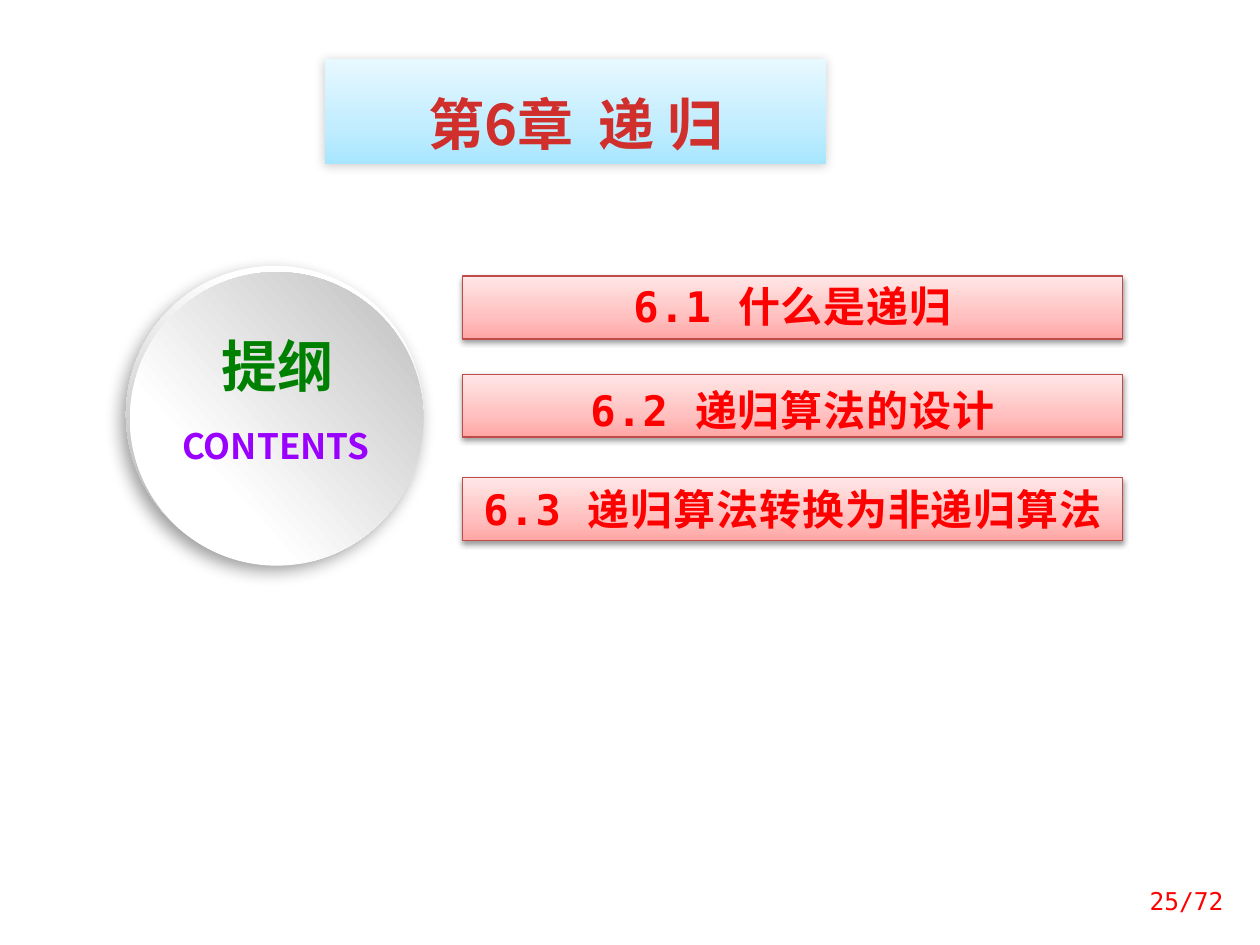
from dataclasses import dataclass

from lxml.etree import SubElement
from pptx import Presentation
from pptx.dml.color import RGBColor
from pptx.enum.shapes import MSO_SHAPE
from pptx.enum.text import MSO_ANCHOR, MSO_AUTO_SIZE, PP_ALIGN
from pptx.oxml.ns import qn
from pptx.util import Inches, Pt


@dataclass(frozen=True)
class Gradient:
    stops: tuple[tuple[int, str], ...]
    angle: int  # clockwise degrees


@dataclass(frozen=True)
class Shadow:
    alpha: int
    blur: float
    distance: float
    direction: int


@dataclass(frozen=True)
class TextStyle:
    font: str
    size: int
    color: str
    bold: bool = True
    east_asian: str = "Noto Sans CJK SC"
    spacing: float = 0


@dataclass(frozen=True)
class Theme:
    title = TextStyle("Noto Sans CJK JP", 32, "D02F2C", east_asian="Noto Sans CJK JP")
    section = TextStyle("DejaVu Sans Mono", 24, "FF0000", spacing=0.5)
    outline = TextStyle("Noto Sans CJK SC", 32, "008000")
    contents = TextStyle("Noto Sans CJK SC", 20, "9900FF")
    page = TextStyle("DejaVu Sans Mono", 14, "FF0000", bold=False)
    sky = Gradient(((0, "A7E6FF"), (35, "C1EDFF"), (100, "E7F8FF")), 270)
    rose = Gradient(((0, "FFA6A5"), (35, "FFC0BF"), (100, "FFE7E7")), 270)
    rim = Gradient(((17, "FFFFFF"), (88, "B8B8B8")), 107)
    face = Gradient(((29, "FFFFFF"), (98, "BFBFBF")), 318)
    bar_line = "BF4C48"
    title_shadow = Shadow(20, 6, 1, 135)
    bar_shadow = Shadow(38, 3.1, 1.6, 90)
    rim_shadow = Shadow(39, 10, 5, 123)


@dataclass(frozen=True)
class Section:
    text: str
    top: float
    inset_top: float
    inset_bottom: float


THEME = Theme()
SECTIONS = (
    Section("6.1 什么是递归", 2.19, 0.04, 0.08),
    Section("6.2 递归算法的设计", 2.97, 0.08, 0.08),
    Section("6.3 递归算法转换为非递归算法", 3.79, 0.05, 0.05),
)


def set_gradient(shape, gradient: Gradient) -> None:
    shape.fill.background()
    properties = shape.element.spPr
    blank = properties.find(qn("a:noFill"))
    fill = SubElement(properties, qn("a:gradFill"), rotWithShape="1")
    stop_list = SubElement(fill, qn("a:gsLst"))
    for position, color in gradient.stops:
        stop = SubElement(stop_list, qn("a:gs"), pos=str(position * 1000))
        SubElement(stop, qn("a:srgbClr"), val=color)
    SubElement(fill, qn("a:lin"), ang=str(gradient.angle * 60000), scaled="0")
    properties.replace(blank, fill)


def set_shadow(shape, shadow: Shadow | None) -> None:
    shape.shadow.inherit = False
    if shadow is None:
        return
    effects = shape.element.spPr.find(qn("a:effectLst"))
    outer = SubElement(
        effects, qn("a:outerShdw"),
        blurRad=str(Pt(shadow.blur)), dist=str(Pt(shadow.distance)),
        dir=str(shadow.direction * 60000), algn="ctr", rotWithShape="0",
    )
    color = SubElement(outer, qn("a:srgbClr"), val="000000")
    SubElement(color, qn("a:alpha"), val=str(shadow.alpha * 1000))


def write_text(shape, text: str, style: TextStyle, align=PP_ALIGN.CENTER, **frame_format) -> None:
    frame = shape.text_frame
    defaults = {
        "auto_size": MSO_AUTO_SIZE.NONE,
        "word_wrap": True,
        "vertical_anchor": MSO_ANCHOR.TOP,
        "margin_left": Inches(0.1),
        "margin_right": Inches(0.1),
        "margin_top": Inches(0.05),
        "margin_bottom": Inches(0.05),
    }
    for attribute, value in (defaults | frame_format).items():
        setattr(frame, attribute, value)
    paragraph = frame.paragraphs[0]
    paragraph.alignment = align
    run = paragraph.add_run()
    run.text = text
    font_format = {"name": style.font, "size": Pt(style.size), "bold": style.bold}
    for attribute, value in font_format.items():
        setattr(run.font, attribute, value)
    run.font.color.rgb = RGBColor.from_string(style.color)
    properties = run.font._element if hasattr(run.font, "_element") else run._r.get_or_add_rPr()
    latin = properties.find(qn("a:latin"))
    east_asian = properties.makeelement(qn("a:ea"), {"typeface": style.east_asian})
    latin.addnext(east_asian)
    if style.spacing:
        properties.set("spc", str(int(style.spacing * 100)))


def add_title(slide, text: str) -> None:
    title = slide.shapes.title
    place = {"left": 2.58, "top": 0.47, "width": 3.98, "height": 0.83}
    for attribute, value in place.items():
        setattr(title, attribute, Inches(value))
    set_gradient(title, THEME.sky)
    set_shadow(title, THEME.title_shadow)
    write_text(title, text, THEME.title, margin_top=Inches(0.24))


def add_section(slide, section: Section) -> None:
    bar = slide.shapes.add_shape(
        MSO_SHAPE.RECTANGLE, Inches(3.67), Inches(section.top), Inches(5.24), Inches(0.5)
    )
    set_gradient(bar, THEME.rose)
    bar.line.color.rgb = RGBColor.from_string(THEME.bar_line)
    bar.line.width = Pt(0.75)
    set_shadow(bar, THEME.bar_shadow)
    write_text(
        bar, section.text, THEME.section, word_wrap=False,
        margin_top=Inches(section.inset_top), margin_bottom=Inches(section.inset_bottom),
    )


def add_disc(slide, left: float, top: float, diameter: float,
             gradient: Gradient, shadow: Shadow | None = None) -> None:
    disc = slide.shapes.add_shape(
        MSO_SHAPE.OVAL, Inches(left), Inches(top), Inches(diameter), Inches(diameter)
    )
    set_gradient(disc, gradient)
    disc.line.fill.background()
    set_shadow(disc, shadow)


def add_label(slide, left: float, top: float, width: float, height: float,
              text: str, style: TextStyle, **text_format) -> None:
    label = slide.shapes.add_textbox(Inches(left), Inches(top), Inches(width), Inches(height))
    write_text(label, text, style, **text_format)


def main() -> None:
    presentation = Presentation()
    presentation.slide_width = Inches(10)
    presentation.slide_height = Inches(7.5)
    slide = presentation.slides.add_slide(presentation.slide_layouts[5])

    add_title(slide, "第6章  递 归")
    add_disc(slide, 1, 2.11, 2.36, THEME.rim, THEME.rim_shadow)
    add_disc(slide, 1.03, 2.16, 2.33, THEME.face)
    add_label(slide, 1.43, 2.58, 1.54, 0.64, "提纲", THEME.outline)
    add_label(slide, 1.27, 3.32, 1.84, 0.44, "CONTENTS", THEME.contents)
    for section in SECTIONS:
        add_section(slide, section)
    add_label(slide, 8.83, 6.95, 0.98, 0.4, "25/72", THEME.page,
              align=PP_ALIGN.RIGHT, vertical_anchor=MSO_ANCHOR.MIDDLE)
    presentation.save("out.pptx")


if __name__ == "__main__":
    main()
